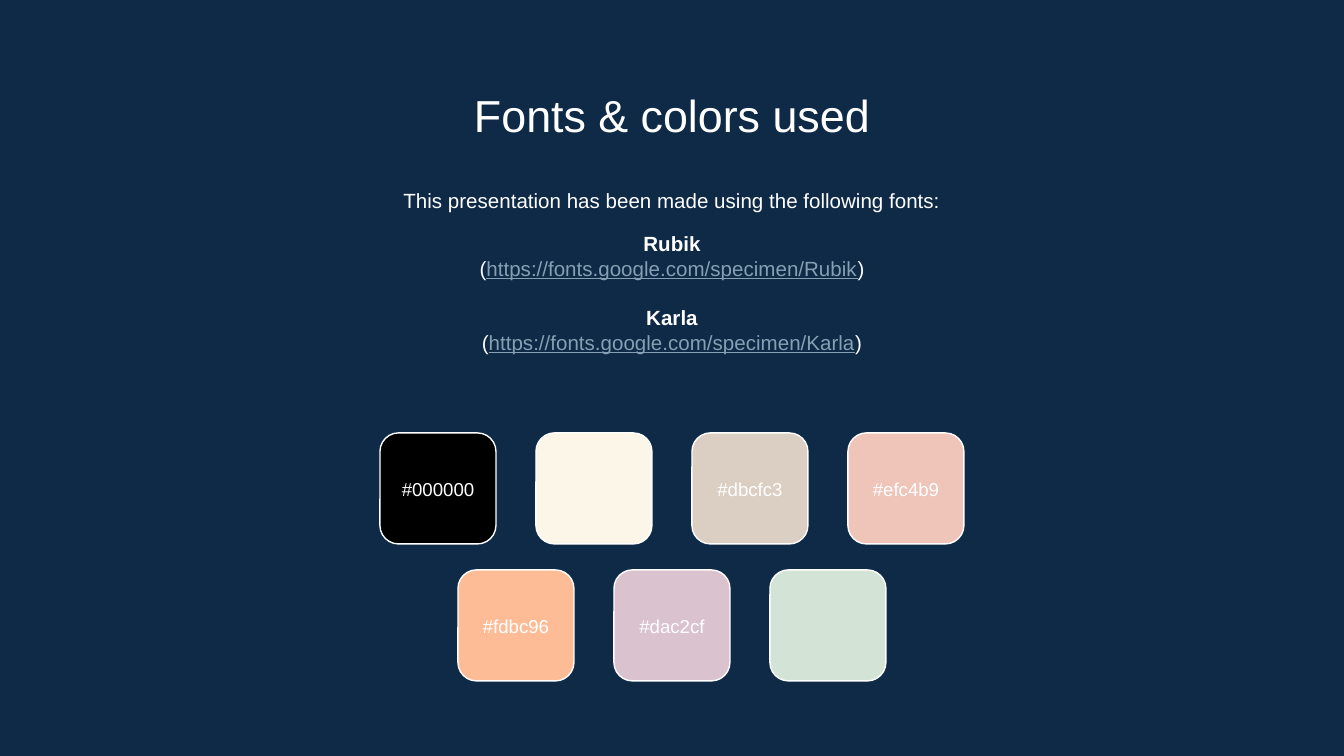
from pptx import Presentation
from pptx.dml.color import RGBColor
from pptx.enum.shapes import MSO_SHAPE
from pptx.enum.text import MSO_ANCHOR, PP_ALIGN
from pptx.util import Emu, Pt

SCALE = 914400 / 134.4
PAGE_WIDTH, PAGE_HEIGHT = 1344, 756
SWATCH_WIDTH, SWATCH_HEIGHT = 116, 111
COLUMN_STEP, ROW_STEP = 156, 137
SWATCH_TOP = 433
LABEL_OFFSET, LABEL_HEIGHT = 24, 64
WHITE, LINK = "FFFFFF", "869FB2"
SWATCH_ROWS = [
    ["#000000", "#fcf6e8", "#dbcfc3", "#efc4b9"],
    ["#fdbc96", "#dac2cf", "#d3e3d6"],
]
UNLABELLED = {"#fcf6e8", "#d3e3d6"}
FONTS = [("Rubik", 10), ("Karla", 13)]


def px(length):
    return Emu(round(length * SCALE))


def color(value):
    return RGBColor.from_string(value.lstrip("#").upper())


def place(shape, left, top, width, height):
    shape.left, shape.top = px(left), px(top)
    shape.width, shape.height = px(width), px(height)


def format_frame(frame, anchor=MSO_ANCHOR.TOP):
    frame.word_wrap = True
    frame.vertical_anchor = anchor
    frame.margin_left = frame.margin_right = px(13)
    frame.margin_top = frame.margin_bottom = px(13)


def add_span(para, text, size=11, fill=WHITE, bold=False, underline=False):
    span = para.add_run()
    span.text = text
    font = span.font
    font.name, font.size = "Arial", Pt(size)
    font.bold, font.underline = bold, underline
    font.color.rgb = color(fill)


def format_para(para, before=0):
    para.alignment = PP_ALIGN.CENTER
    para.space_before = Pt(before)
    para.line_spacing = 1.0
    return para


def add_title(page, text):
    title = page.shapes.title
    place(title, 105, 75, 1134, 71)
    format_frame(title.text_frame)
    add_span(format_para(title.text_frame.paragraphs[0]), text, size=24)


def add_font_list(page):
    box = page.shapes.add_textbox(px(105), px(175), px(1134), px(210))
    frame = box.text_frame
    format_frame(frame)
    intro = format_para(frame.paragraphs[0])
    add_span(intro, "This presentation has been made using the following fonts:")
    for name, before in FONTS:
        heading = format_para(frame.add_paragraph(), before)
        add_span(heading, name, bold=True)
        address = format_para(frame.add_paragraph())
        add_span(address, "(")
        add_span(address, f"https://fonts.google.com/specimen/{name}", fill=LINK, underline=True)
        add_span(address, ")")


def add_swatch(page, left, top, value):
    swatch = page.shapes.add_shape(
        MSO_SHAPE.ROUNDED_RECTANGLE, px(left), px(top), px(SWATCH_WIDTH), px(SWATCH_HEIGHT)
    )
    swatch.shadow.inherit = False
    swatch.fill.solid()
    swatch.fill.fore_color.rgb = color(value)
    swatch.line.color.rgb = color(WHITE)
    swatch.line.width = Pt(0.75)


def add_label(page, left, top, value):
    label = page.shapes.add_textbox(
        px(left), px(top + LABEL_OFFSET), px(SWATCH_WIDTH), px(LABEL_HEIGHT)
    )
    format_frame(label.text_frame, MSO_ANCHOR.MIDDLE)
    add_span(format_para(label.text_frame.paragraphs[0]), value, size=10)


def add_swatches(page):
    for row, values in enumerate(SWATCH_ROWS):
        row_width = (len(values) - 1) * COLUMN_STEP + SWATCH_WIDTH
        row_left = (PAGE_WIDTH - row_width) // 2
        top = SWATCH_TOP + row * ROW_STEP
        for column, value in enumerate(values):
            left = row_left + column * COLUMN_STEP
            add_swatch(page, left, top, value)
            if value not in UNLABELLED:
                add_label(page, left, top, value)


def main():
    deck = Presentation()
    deck.slide_width, deck.slide_height = px(PAGE_WIDTH), px(PAGE_HEIGHT)
    page = deck.slides.add_slide(deck.slide_layouts[5])
    page.background.fill.solid()
    page.background.fill.fore_color.rgb = color("0E2A47")
    add_font_list(page)
    add_swatches(page)
    add_title(page, "Fonts & colors used")
    deck.save("out.pptx")


if __name__ == "__main__":
    main()
